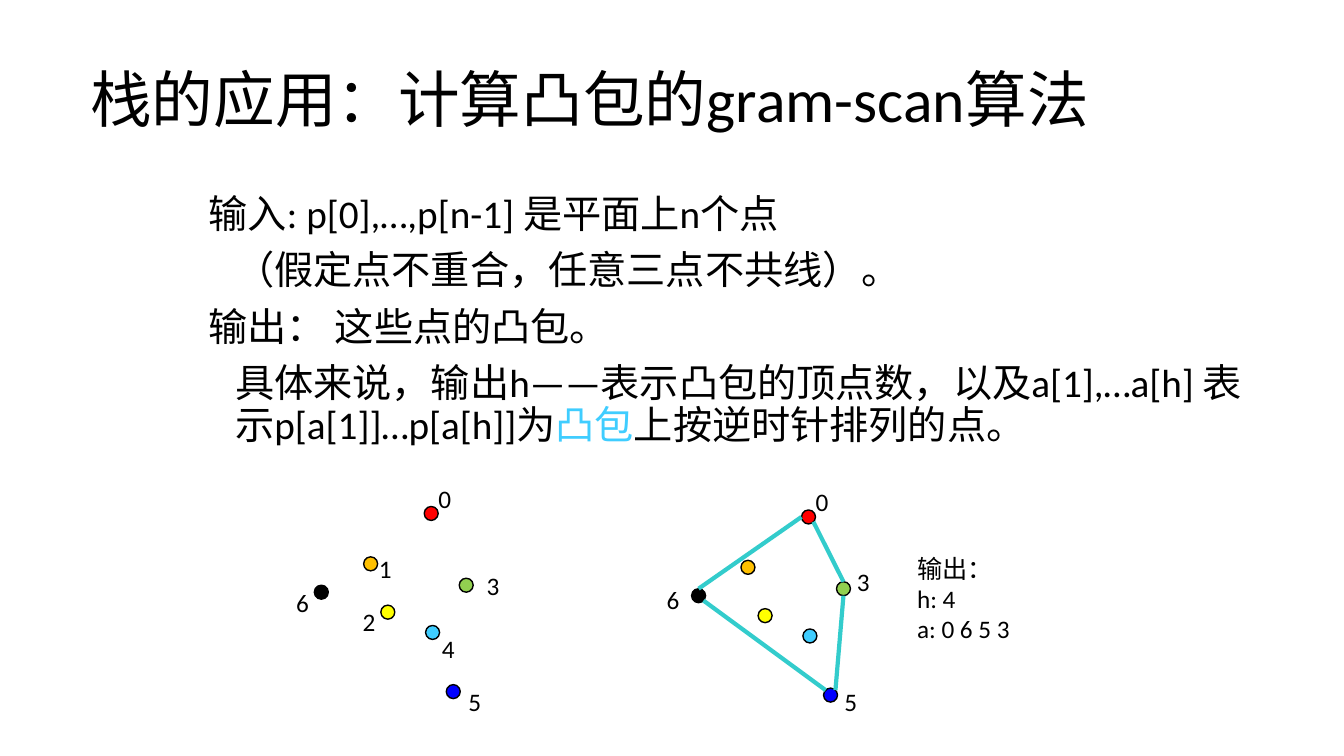
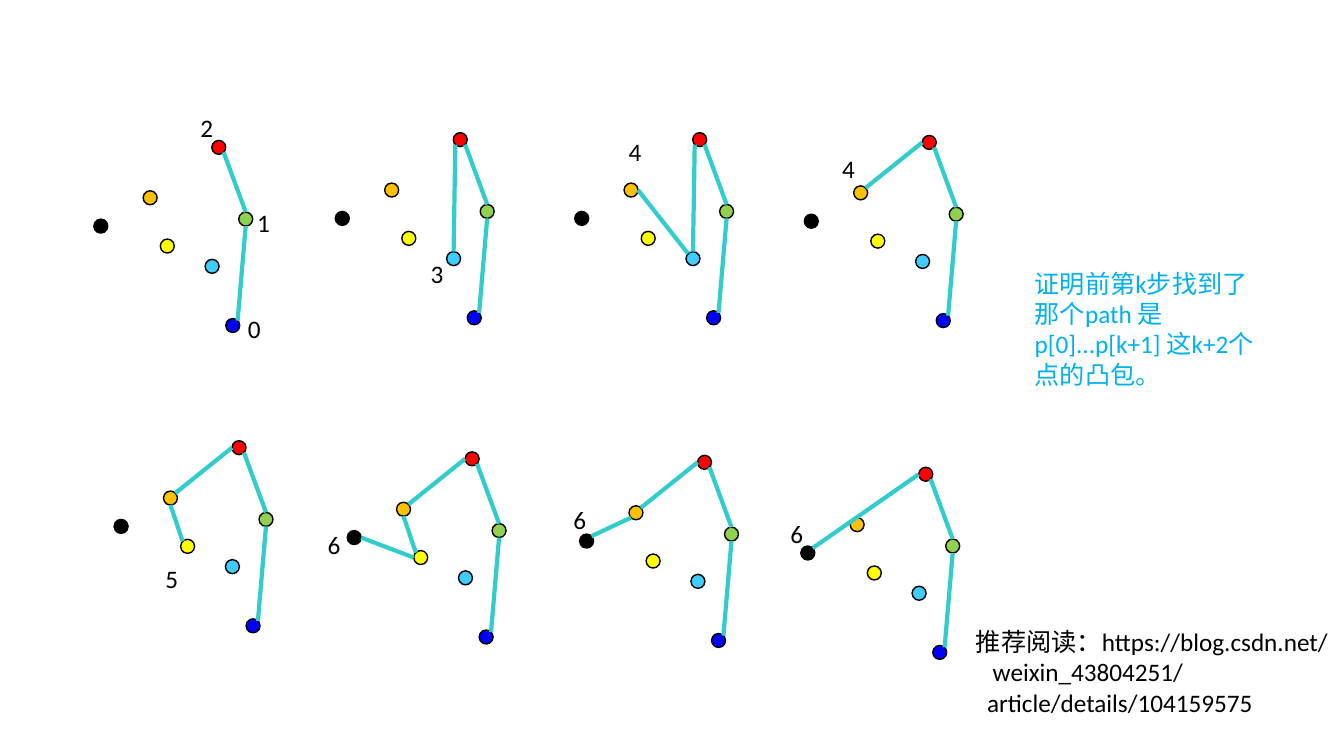
from dataclasses import dataclass

from lxml.etree import SubElement
from pptx import Presentation
from pptx.dml.color import RGBColor as RGB
from pptx.enum.shapes import MSO_CONNECTOR as Connector
from pptx.enum.shapes import MSO_SHAPE as Shape
from pptx.enum.text import MSO_ANCHOR as Anchor
from pptx.oxml.ns import qn
from pptx.util import Pt


@dataclass(frozen=True)
class Theme:
    font: str = "Calibri"
    title_size: int = 44
    body_size: int = 28
    label_size: int = 18
    ink: str = "000000"
    note: str = "00B0F0"
    edge: str = "33CCCC"
    red: str = "FF0000"
    green: str = "92D050"
    black: str = "000000"
    sky: str = "3FCDFF"
    blue: str = "0000FF"
    yellow: str = "FFFF00"
    orange: str = "FFC000"


THEME = Theme()
DOT = 10

# Dot places, measured from the black dot of a point set
POINTS = {
    "red": (84.25, -56.25),
    "green": (103.5, -5),
    "black": (0, 0),
    "sky": (79.5, 28.75),
    "blue": (94.25, 71),
    "yellow": (47.5, 14.25),
    "orange": (35.25, -20.25),
}
# On the first slide the red dot lies further left
INPUT_POINTS = {**POINTS, "red": (78.5, -56.25)}

# Places on a dot's rim, as shares of its size
RIM = {
    "n": (0.5, 0), "ne": (0.85, 0.15), "e": (1, 0.5), "se": (0.85, 0.85),
    "s": (0.5, 1), "sw": (0.15, 0.85), "w": (0, 0.5), "nw": (0.15, 0.15),
}

# Edges: dot and rim place at each end
BLUE_GREEN = ("blue", "ne", "green", "s")
GREEN_RED = ("green", "n", "red", "se")
SKY_RED = ("sky", "n", "red", "sw")
SKY_ORANGE = ("sky", "nw", "orange", "e")
ORANGE_RED = ("orange", "ne", "red", "w")
ORANGE_YELLOW = ("orange", "s", "yellow", "nw")
BLACK_YELLOW = ("black", "e", "yellow", "w")
BLACK_ORANGE = ("black", "ne", "orange", "sw")
BLACK_RED = ("black", "ne", "red", "w")
BLUE_BLACK = ("blue", "nw", "black", "se")
RED_BLACK = ("red", "w", "black", "n")
START = [BLUE_GREEN, GREEN_RED]

# Steps of the scan: origin, edges after the start, labels
STEPS = [
    ((67, 156.5), [], {"0": (103, 64), "1": (109.5, -12), "2": (69, -79.5)}),
    ((239.5, 151), [SKY_RED], {"3": (61, 30)}),
    ((410.5, 151), [SKY_RED, SKY_ORANGE], {"4": (31.5, -57.5)}),
    ((574.5, 153), [ORANGE_RED], {"4": (20, -47)}),
    ((81.5, 371), [ORANGE_RED, ORANGE_YELLOW], {"5": (29.5, 27.5)}),
    ((248, 379), [ORANGE_RED, ORANGE_YELLOW, BLACK_YELLOW], {"6": (-21, -4.5)}),
    ((414, 381.5), [ORANGE_RED, BLACK_ORANGE], {"6": (-11.5, -25)}),
    ((572, 390), [BLACK_RED], {"6": (-14.5, -23)}),
]


def add_text(page, left, top, width, height, lines, size=THEME.label_size,
             colour=THEME.ink, spacing=1.0, before=0, anchor=Anchor.TOP):
    """Each line is (indent, span, ...); a span is text or (text, colour)."""
    box = page.shapes.add_textbox(Pt(left), Pt(top), Pt(width), Pt(height))
    frame = box.text_frame
    frame.word_wrap = True
    frame.vertical_anchor = anchor
    for index, (indent, *spans) in enumerate(lines):
        para = frame.add_paragraph() if index else frame.paragraphs[0]
        para.line_spacing = spacing
        para.space_before = Pt(before if index else 0)
        if indent:
            para._p.get_or_add_pPr().set("marL", str(Pt(indent)))
        para.font.name = THEME.font
        para.font.size = Pt(size)
        para.font.color.rgb = RGB.from_string(colour)
        for span in spans:
            run = para.add_run()
            if isinstance(span, tuple):
                run.text = span[0]
                run.font.color.rgb = RGB.from_string(span[1])
            else:
                run.text = span
    return box


def add_dot(page, left, top, colour):
    dot = page.shapes.add_shape(Shape.OVAL, Pt(left), Pt(top), Pt(DOT), Pt(DOT))
    dot.shadow.inherit = False
    dot.fill.solid()
    dot.fill.fore_color.rgb = RGB.from_string(colour)
    dot.line.color.rgb = RGB.from_string(THEME.ink)
    dot.line.width = Pt(1)


def add_edge(page, start, end):
    edge = page.shapes.add_connector(
        Connector.STRAIGHT, *(Pt(value) for value in (*start, *end)))
    edge.line.color.rgb = RGB.from_string(THEME.edge)
    edge.line.width = Pt(3)
    SubElement(edge._element.spPr, qn("a:effectLst"))


def add_point_set(page, origin, edges, labels, points=POINTS):
    left, top = origin

    def rim_place(name, side):
        return tuple(base + offset + DOT * share for base, offset, share
                     in zip(origin, points[name], RIM[side]))

    for name, (across, down) in points.items():
        add_dot(page, left + across, top + down, getattr(THEME, name))
    for tail, tail_side, head, head_side in edges:
        add_edge(page, rim_place(tail, tail_side), rim_place(head, head_side))
    for text, (across, down) in labels.items():
        add_text(page, left + across, top + down, 43, 29, [(0, text)])


def build_problem(page):
    # Title and statement
    add_text(page, 57.5, 41, 768, 65, [(0, "栈的应用：计算凸包的gram-scan算法")],
             THEME.title_size, spacing=0.9, anchor=Anchor.MIDDLE)
    add_text(page, 142, 135.5, 758, 220, [
        (0, "输入: p[0],…,p[n-1] 是平面上n个点"),
        (19, "（假定点不重合，任意三点不共线）。"),
        (0, "输出： 这些点的凸包。"),
        (19, "具体来说，输出h——表示凸包的顶点数，以及a[1],…a[h] "
             "表示p[a[1]]…p[a[h]]为", ("凸包", THEME.sky), "上按逆时针排列的点。"),
    ], THEME.body_size, spacing=0.9, before=10)

    # Input points, then their hull
    add_point_set(page, (224.5, 418), [], {
        "0": (81.5, -76.5), "1": (39, -26.5), "2": (27.5, 11.5),
        "3": (116, -14.5), "4": (84, 31), "5": (103, 69), "6": (-20, -2),
    }, INPUT_POINTS)
    add_point_set(page, (494, 420.5), [*START, BLUE_BLACK, RED_BLACK], {
        "0": (81.5, -76.5), "3": (111, -19.5), "5": (102, 66), "6": (-25, -7),
    }, INPUT_POINTS)
    add_text(page, 648, 391.5, 139, 73,
             [(0, "输出："), (0, "h: 4"), (0, "a: 0 6 5 3")])


def build_steps(page):
    for origin, edges, labels in STEPS:
        add_point_set(page, origin, START + edges, labels)

    # Proof task and further reading
    add_text(page, 732, 188, 181, 94,
             [(0, "证明前第k步找到了那个path 是 p[0]...p[k+1] 这k+2个点的凸包。")],
             colour=THEME.note)
    reading = add_text(page, 690, 444, 270, 73, [
        (0, "推荐阅读：https://blog.csdn.net/"),
        (12, "weixin_43804251/"),
        (8, "article/details/104159575"),
    ])
    reading.text_frame.margin_right = 0


def main():
    deck = Presentation()
    deck.slide_width, deck.slide_height = Pt(960), Pt(540)
    for build in (build_problem, build_steps):
        build(deck.slides.add_slide(deck.slide_layouts[6]))
    deck.save("out.pptx")


if __name__ == "__main__":
    main()
